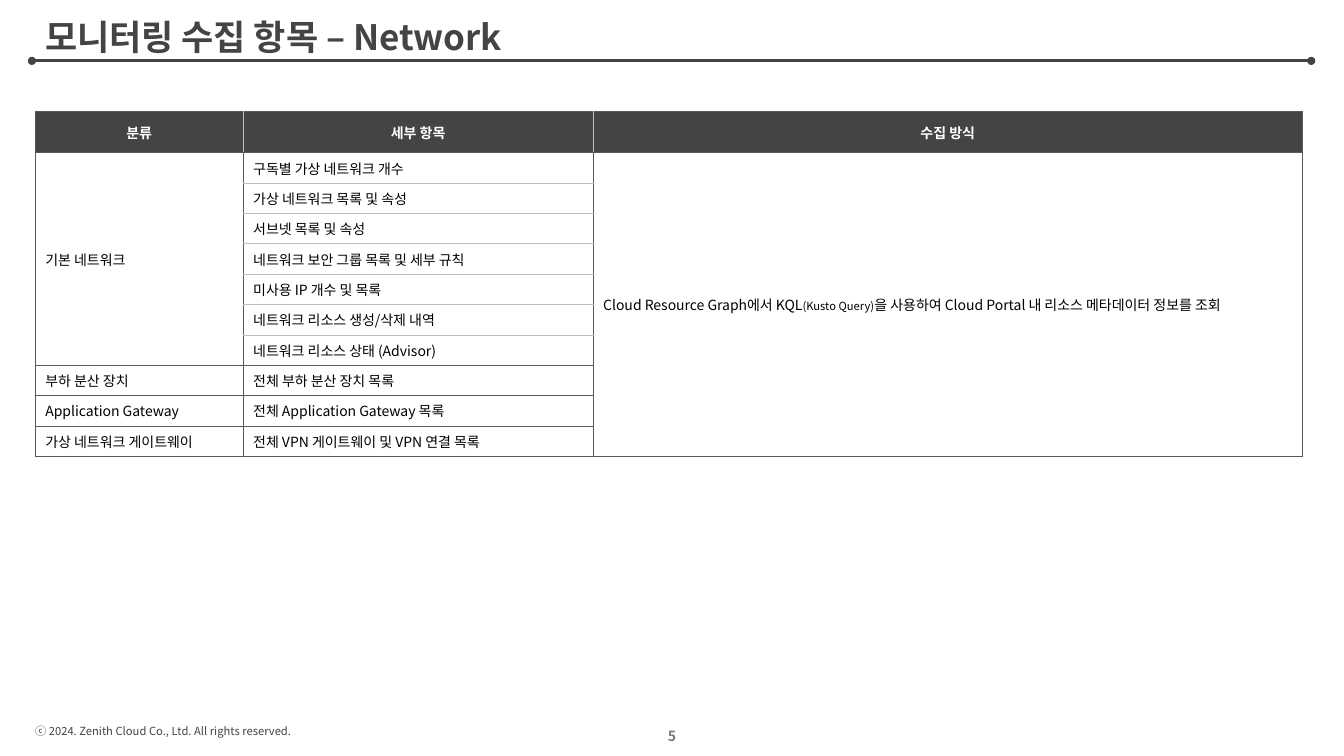
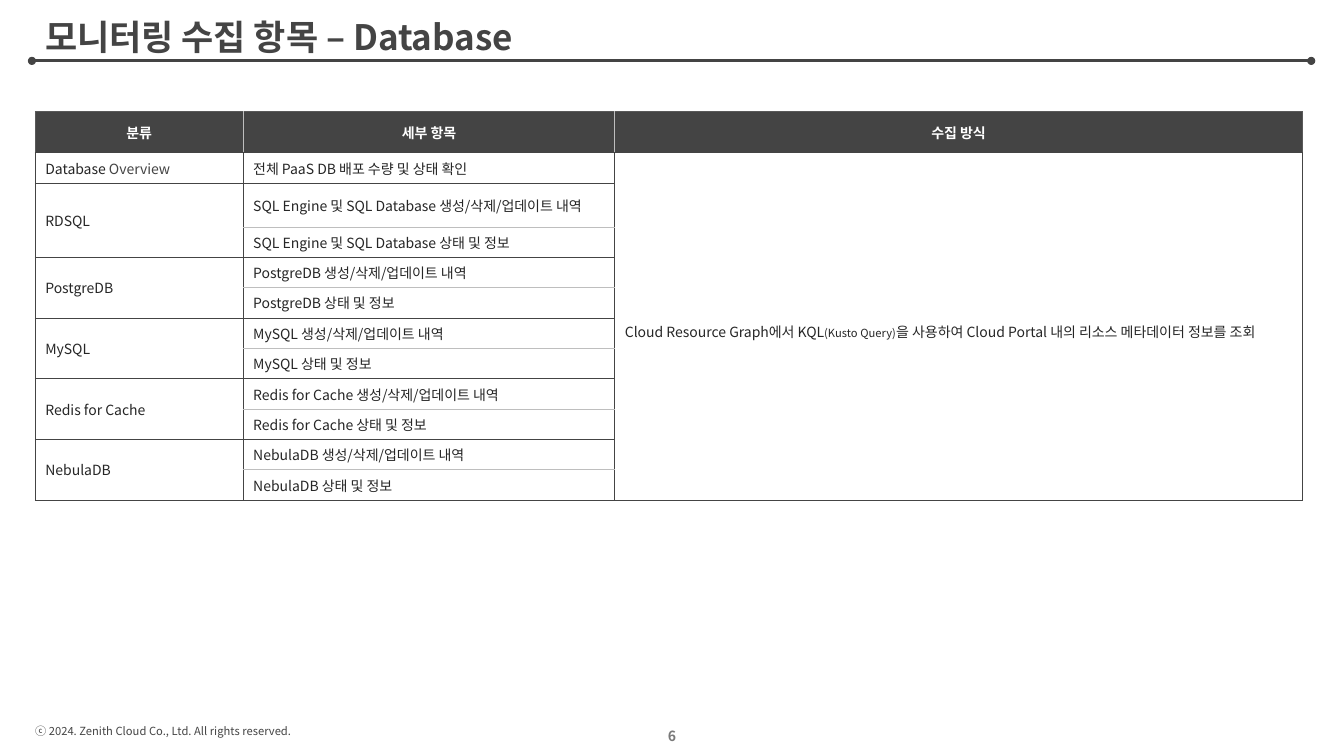
import pptx
import pptx.dml.color
import pptx.enum.shapes
import pptx.enum.text
import pptx.oxml.ns
import pptx.util
from lxml import etree

Pt = pptx.util.Pt
ALIGN = pptx.enum.text.PP_ALIGN
MIDDLE = pptx.enum.text.MSO_ANCHOR.MIDDLE
SHAPES = pptx.enum.shapes.MSO_SHAPE

FONT = "Noto Sans CJK KR"
COLORS = {
    "dark": "444444",
    "border": "595959",
    "light": "BEBEBE",
    "page": "797979",
    "black": "000000",
    "ink": "262626",
    "white": "FFFFFF",
}
COPYRIGHT = "ⓒ 2024. Zenith Cloud Co., Ltd. All rights reserved."
HEADERS = ["분류", "세부 항목", "수집 방식"]
TABLE_LEFT, TABLE_TOP = 25.2, 79.7
HEADER_HEIGHT, ROW_HEIGHT = 29.5, 21.7
RULE_LEFT, RULE_RIGHT, RULE_Y = 22.8, 936.6, 43.5
DOT_SIZE = 5.8


def rgb(color):
    return pptx.dml.color.RGBColor.from_string(COLORS[color])


def add_element(parent, tag, **attributes):
    return etree.SubElement(parent, pptx.oxml.ns.qn(tag), attributes)


def style_paragraph(paragraph, size, color, bold=False, align=ALIGN.LEFT):
    paragraph.alignment = align
    font = paragraph.font
    font.name = FONT
    font.size = Pt(size)
    font.bold = bold
    font.color.rgb = rgb(color)
    properties = paragraph._p.pPr.find(pptx.oxml.ns.qn("a:defRPr"))
    add_element(properties, "a:ea", typeface=FONT)


def add_text(slide, box, text, size, color, bold=False, align=ALIGN.LEFT, wrap=True):
    shape = slide.shapes.add_textbox(*map(Pt, box))
    frame = shape.text_frame
    frame.word_wrap = wrap
    paragraph = frame.paragraphs[0]
    paragraph.text = text
    style_paragraph(paragraph, size, color, bold, align)
    return shape


def add_title_rule(slide):
    rule = slide.shapes.add_connector(
        pptx.enum.shapes.MSO_CONNECTOR.STRAIGHT,
        Pt(RULE_LEFT), Pt(RULE_Y), Pt(RULE_RIGHT), Pt(RULE_Y))
    rule.line.color.rgb = rgb("dark")
    rule.line.width = Pt(2.25)
    add_element(rule._element.spPr, "a:effectLst")
    for center in (RULE_LEFT, RULE_RIGHT):
        dot = slide.shapes.add_shape(
            SHAPES.FLOWCHART_CONNECTOR,
            Pt(center - DOT_SIZE / 2), Pt(RULE_Y - DOT_SIZE / 2), Pt(DOT_SIZE), Pt(DOT_SIZE))
        dot.shadow.inherit = False
        dot.fill.solid()
        dot.fill.fore_color.rgb = rgb("dark")
        dot.line.fill.background()


def add_framed_slide(presentation, title, page):
    slide = presentation.slides.add_slide(presentation.slide_layouts[6])
    add_text(slide, (18, 514, 200, 17.3), COPYRIGHT, 8, "dark", wrap=False)
    add_title_rule(slide)
    number = add_text(slide, (372, 511.3, 216, 28.8), str(page), 10, "page", True, ALIGN.CENTER)
    number.text_frame.vertical_anchor = MIDDLE
    heading = add_text(slide, (25.2, 12.2, 908.6, 31.7), title, 25, "dark", True)
    heading.text_frame.vertical_anchor = MIDDLE
    heading.text_frame.paragraphs[0].line_spacing = 0.9
    return slide


def set_borders(cell, left, right, top, bottom):
    properties = cell._tc.get_or_add_tcPr()
    for side, color in zip("LRTB", (left, right, top, bottom)):
        line = add_element(properties, f"a:ln{side}", w=str(Pt(0.75)))
        fill = add_element(line, "a:solidFill")
        add_element(fill, "a:srgbClr", val=COLORS[color])


def fill_cell(cell, color):
    cell.fill.solid()
    cell.fill.fore_color.rgb = rgb(color)


def write_cell(cell, content, color, bold=False, align=ALIGN.LEFT):
    cell.vertical_anchor = MIDDLE
    paragraph = cell.text_frame.paragraphs[0]
    runs = [(content, {})] if isinstance(content, str) else content
    for text, changes in runs:
        run = paragraph.add_run()
        run.text = text
        if "size" in changes:
            run.font.size = Pt(changes["size"])
        if "color" in changes:
            run.font.color.rgb = rgb(changes["color"])
    style_paragraph(paragraph, 10, color, bold, align)
    return paragraph


def add_item_table(slide, widths, groups, method, ink, border):
    row_count = 1 + sum(len(items) for _, items in groups)
    height = HEADER_HEIGHT + ROW_HEIGHT * (row_count - 1)
    table = slide.shapes.add_table(
        row_count, len(widths), Pt(TABLE_LEFT), Pt(TABLE_TOP), Pt(sum(widths)), Pt(height)).table
    table.first_row = table.horz_banding = False
    for column, width in zip(table.columns, widths):
        column.width = Pt(width)
    for index, row in enumerate(table.rows):
        row.height = Pt(ROW_HEIGHT if index else HEADER_HEIGHT)

    last = len(HEADERS) - 1
    for index, header in enumerate(HEADERS):
        cell = table.cell(0, index)
        set_borders(cell, "light" if index else "border",
                    "light" if index < last else "border", "border", border)
        fill_cell(cell, "dark")
        write_cell(cell, header, "white", True, ALIGN.CENTER)

    start = 1
    for category, items in groups:
        end = start + len(items) - 1
        for row, item in enumerate(items, start):
            top = border if row == start else "light"
            bottom = border if row == end else "light"
            for column, edges in enumerate([(border, border), (top, bottom), (border, border)]):
                cell = table.cell(row, column)
                set_borders(cell, border, border, *edges)
                fill_cell(cell, "white")
            write_cell(table.cell(row, 1), item, ink)
        if end > start:
            table.cell(start, 0).merge(table.cell(end, 0))
        write_cell(table.cell(start, 0), category, ink)
        start = end + 1

    table.cell(1, last).merge(table.cell(row_count - 1, last))
    return write_cell(table.cell(1, last), method, ink)


def collection_method(scope):
    return [
        ("Cloud Resource Graph에서 KQL", {}),
        ("(Kusto Query)", {"size": 8}),
        (f"을 사용하여 Cloud Portal {scope} 리소스 메타데이터 정보를 조회", {}),
    ]


def database_group(category, product):
    return category, [f"{product} 생성/삭제/업데이트 내역", f"{product} 상태 및 정보"]


def add_network_slide(presentation):
    slide = add_framed_slide(presentation, "모니터링 수집 항목 – Network", 5)
    groups = [
        ("기본 네트워크", [
            "구독별 가상 네트워크 개수",
            "가상 네트워크 목록 및 속성",
            "서브넷 목록 및 속성",
            "네트워크 보안 그룹 목록 및 세부 규칙",
            "미사용 IP 개수 및 목록",
            "네트워크 리소스 생성/삭제 내역",
            "네트워크 리소스 상태 (Advisor)",
        ]),
        ("부하 분산 장치", ["전체 부하 분산 장치 목록"]),
        ("Application Gateway", ["전체 Application Gateway 목록"]),
        ("가상 네트워크 게이트웨이", ["전체 VPN 게이트웨이 및 VPN 연결 목록"]),
    ]
    add_item_table(slide, [148.5, 250, 506.5], groups, collection_method("내"), "black", "border")


def add_database_slide(presentation):
    slide = add_framed_slide(presentation, "모니터링 수집 항목 – Database", 6)
    overview = [("Database ", {}), ("Overview", {"color": "dark"})]
    groups = [
        (overview, ["전체 PaaS DB 배포 수량 및 상태 확인"]),
        database_group("RDSQL", "SQL Engine 및 SQL Database"),
    ]
    for product in ("PostgreDB", "MySQL", "Redis for Cache", "NebulaDB"):
        groups.append(database_group(product, product))
    method = add_item_table(
        slide, [148.5, 265.5, 491], groups, collection_method("내의"), "ink", "dark")
    method.line_spacing = 1.5


def main():
    presentation = pptx.Presentation()
    presentation.slide_width = Pt(960)
    presentation.slide_height = Pt(540)
    add_network_slide(presentation)
    add_database_slide(presentation)
    presentation.save("out.pptx")


if __name__ == "__main__":
    main()
